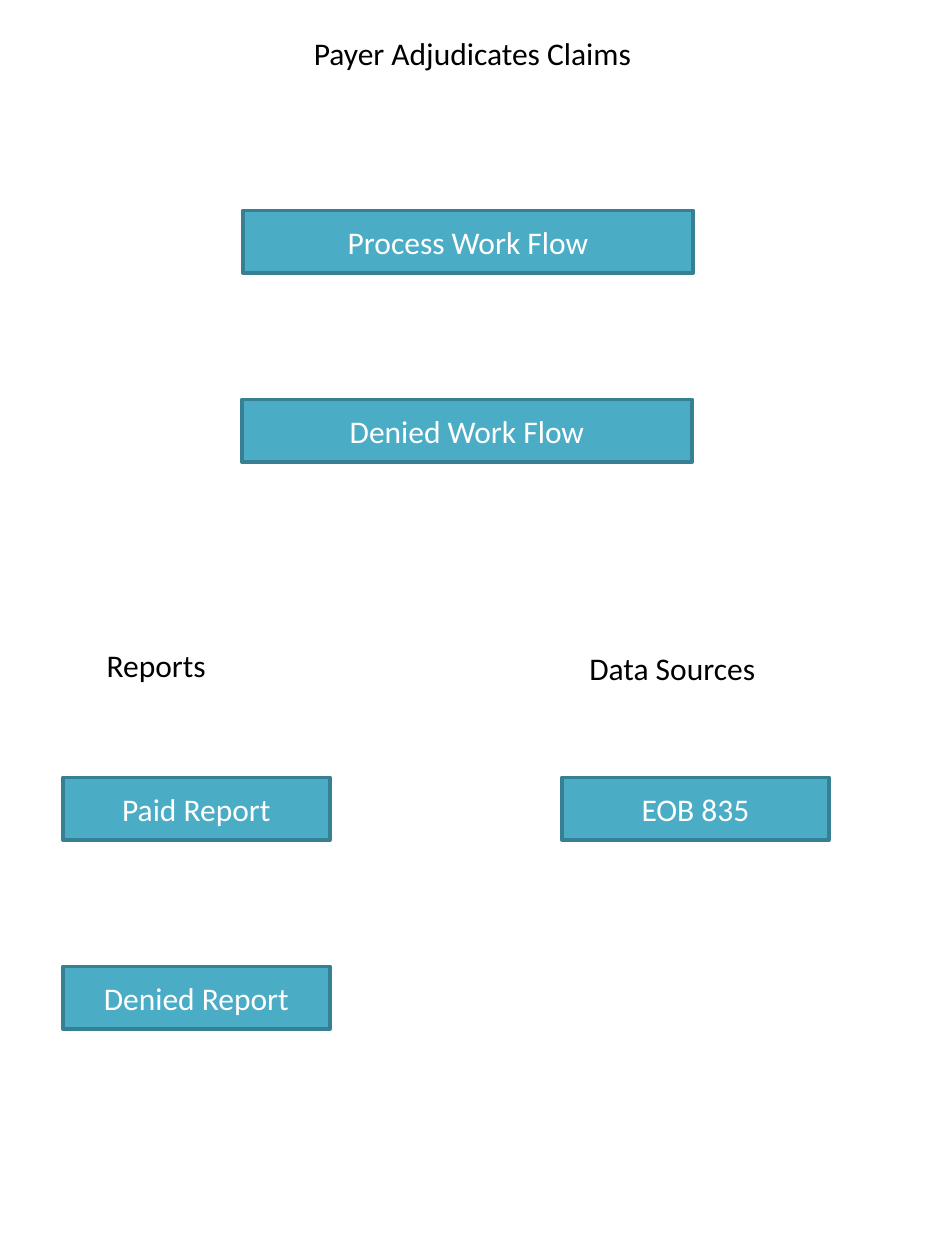
import pptx
import pptx.dml.color
import pptx.enum.shapes
import pptx.enum.text
import pptx.util
from pptx.util import Cm

COLORS = {"text": "000000", "box": "4BACC6", "border": "377F92", "box_text": "FFFFFF"}
FIRST_ROW, ROW_STEP = 4.24, 3.81
BOX_HEIGHT, LABEL_HEIGHT = 1.27, 1.02
WIDE, NARROW = 9.07, 5.38


class ClaimsSlide:
    """Holds the text style and the current slide, and draws its elements."""

    def __init__(self, slide, font="Calibri", size=18):
        self.slide = slide
        self.font = font
        self.size = size

    def color(self, name):
        return pptx.dml.color.RGBColor.from_string(COLORS[name])

    def set_text(self, shape, text, color, alignment, anchor):
        frame = shape.text_frame
        frame.text = text
        frame.word_wrap = True
        frame.auto_size = pptx.enum.text.MSO_AUTO_SIZE.NONE
        frame.vertical_anchor = anchor
        paragraph = frame.paragraphs[0]
        paragraph.alignment = alignment
        for run in paragraph.runs:
            run.font.name = self.font
            run.font.size = pptx.util.Pt(self.size)
            run.font.color.rgb = self.color(color)

    def title(self, text, top, width):
        shape = self.slide.shapes.title
        shape.left, shape.top = Cm(0), Cm(top)
        shape.width, shape.height = Cm(width), Cm(LABEL_HEIGHT)
        self.set_text(shape, text, "text", pptx.enum.text.PP_ALIGN.CENTER,
                      pptx.enum.text.MSO_ANCHOR.TOP)

    def label(self, text, left, top):
        shape = self.slide.shapes.add_textbox(Cm(left), Cm(top), Cm(NARROW), Cm(LABEL_HEIGHT))
        self.set_text(shape, text, "text", pptx.enum.text.PP_ALIGN.LEFT,
                      pptx.enum.text.MSO_ANCHOR.TOP)

    def box(self, text, left, row, width):
        shape = self.slide.shapes.add_shape(
            pptx.enum.shapes.MSO_SHAPE.RECTANGLE,
            Cm(left), Cm(FIRST_ROW + row * ROW_STEP), Cm(width), Cm(BOX_HEIGHT))
        shape.shadow.inherit = False
        shape.fill.solid()
        shape.fill.fore_color.rgb = self.color("box")
        shape.line.color.rgb = self.color("border")
        shape.line.width = pptx.util.Pt(2)
        self.set_text(shape, text, "box_text", pptx.enum.text.PP_ALIGN.CENTER,
                      pptx.enum.text.MSO_ANCHOR.MIDDLE)


def main():
    presentation = pptx.Presentation()
    presentation.slide_width, presentation.slide_height = Cm(19.05), Cm(25.4)
    claims = ClaimsSlide(presentation.slides.add_slide(presentation.slide_layouts[5]))

    claims.title("Payer Adjudicates Claims", 0.56, 19.05)
    claims.label("Reports", 1.9, 12.9)
    claims.label("Data Sources", 11.63, 12.95)
    for text, left, row, width in [
        ("Process Work Flow", 4.9, 0, WIDE),
        ("Denied Work Flow", 4.88, 1, WIDE),
        ("Paid Report", 1.27, 3, NARROW),
        ("EOB 835", 11.33, 3, NARROW),
        ("Denied Report", 1.27, 4, NARROW),
    ]:
        claims.box(text, left, row, width)

    presentation.save("out.pptx")


if __name__ == "__main__":
    main()
